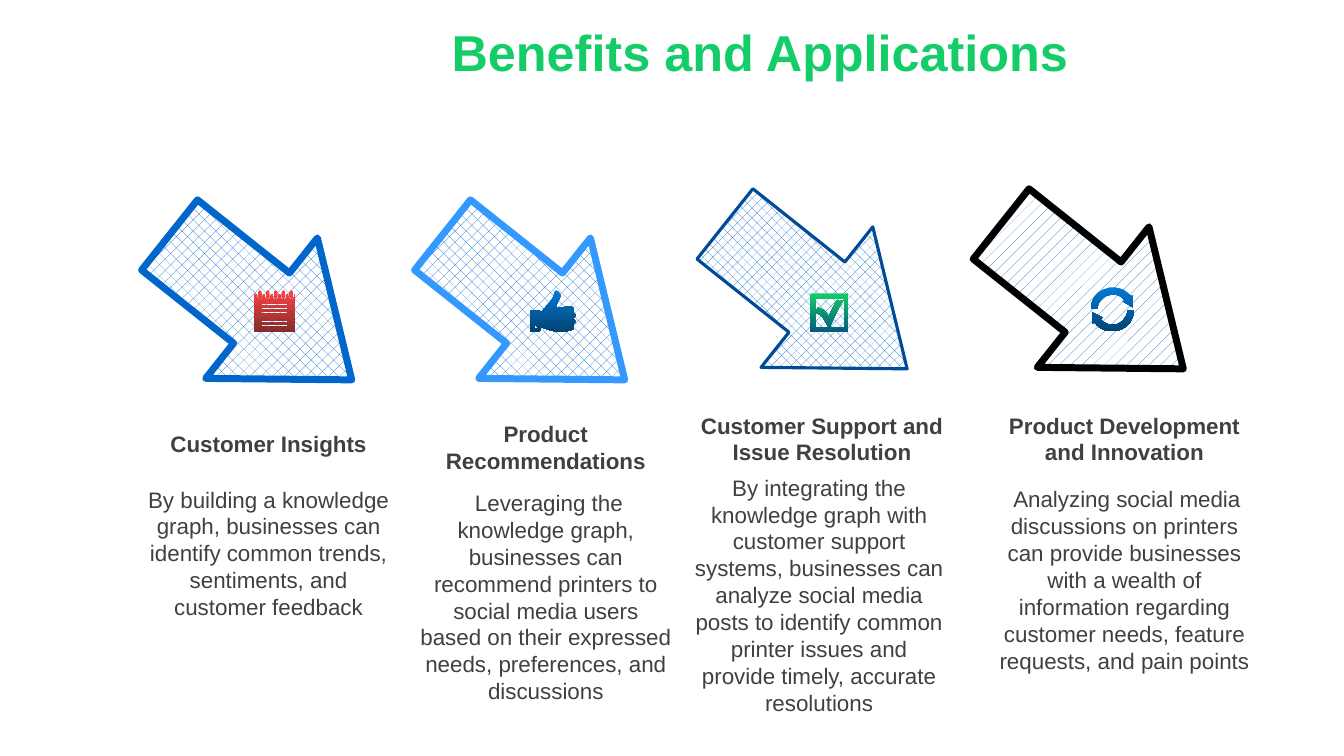
from pptx import Presentation
from pptx import util as u
from pptx.dml import color
from pptx.enum import dml, shapes, text

INK = "404040"
ARROW_SIZE = (166.3, 128.2)
COLUMN_WIDTH = 193.7
PATTERN = dml.MSO_PATTERN

ARROWS = [
    (103, 155.5, PATTERN.PERCENT_25, "0066CC", 5),
    (298, 155.5, PATTERN.PERCENT_25, "3399FF", 5),
    (499.7, 147.6, PATTERN.PERCENT_30, "004B97", 2.25),
    (697, 147.6, PATTERN.PERCENT_10, "000000", 5),
]

BENEFITS = [
    ("Customer Insights", (95, 303.8, 26.6),
     "By building a knowledge graph, businesses can identify common trends, "
     "sentiments, and customer feedback", (95, 342.7, 104.4)),
    ("Product Recommendations", (293, 296.6, 46),
     " Leveraging the knowledge graph, businesses can recommend printers to social "
     "media users based on their expressed needs, preferences, and discussions",
     (293, 335.5, 181.4)),
    ("Customer Support and Issue Resolution", (490.3, 290.2, 46),
     "By integrating the knowledge graph with customer support systems, businesses "
     "can analyze social media posts to identify common printer issues and provide "
     "timely, accurate resolutions", (488.2, 334.1, 181.4)),
    ("Product Development and Innovation", (706.3, 290.2, 46),
     " Analyzing social media discussions on printers can provide businesses with a "
     "wealth of information regarding customer needs, feature requests, and pain points",
     (706.3, 342.7, 142.6)),
]

THUMB = [
    [(5, 35), (4, 35, 4, 36, 4, 37), (4, 38, 4, 38, 5, 38),
     (6, 38, 7, 38, 7, 37), (7, 36, 6, 35, 5, 35)],
    [(26, 0), (27, 0, 29, 2, 30, 4), (31, 9, 22, 17, 28, 17), (33, 17, 35, 16, 39, 16),
     (44, 16, 44, 19, 42, 22), (45, 22, 47, 26, 42, 28), (47, 30, 44, 34, 42, 34),
     (44, 36, 44, 38, 42, 39), (37, 41, 25, 42, 18, 39), (15, 38, 13, 37, 10, 37),
     (10, 39), (10, 40, 9, 41, 9, 41), (0, 41), (0, 20), (9, 20),
     (9, 20, 10, 20, 10, 21), (10, 22), (10, 22, 11, 22, 11, 22),
     (12, 20, 13, 19, 15, 17), (18, 12, 23, 10, 24, 2), (24, 1, 25, 0, 26, 0)],
]

CHECK = [
    [(5, 5), (5, 34), (18, 34), (15, 29, 12, 20, 5, 20), (7, 14),
     (14, 16, 15, 18, 18, 23), (21, 16, 23, 13, 26, 7), (33, 7),
     (28, 14, 23, 25, 19, 34), (34, 34), (34, 5)],
    [(0, 0), (38, 0), (38, 38), (0, 38)],
]

REFRESH = [
    [(37, 23), (43, 23), (43, 33, 36, 41, 27, 43), (18, 45, 9, 42, 4, 35), (2, 36),
     (2, 25), (12, 30), (10, 32), (14, 36, 20, 38, 25, 37), (32, 35, 36, 29, 37, 23)],
    [(22, 0), (29, 0, 35, 3, 40, 9), (42, 8), (42, 20), (32, 14), (34, 13),
     (30, 8, 24, 6, 18, 8), (12, 9, 7, 15, 7, 21), (0, 21),
     (1, 11, 7, 3, 17, 1), (18, 0, 20, 0, 22, 0)],
]


def rgb(value):
    """Turn a hex string into a colour."""
    return color.RGBColor.from_string(value)


def notepad():
    """Return the contours of a spiral notepad with ruled lines."""
    centres = [6 + 7.75 * ring for ring in range(5)]
    body = [(0, 4)]
    for c in centres:
        body += [(c - 3, 4), (c - 3, 6), (c - 3, 10, c + 3, 10, c + 3, 6), (c + 3, 4)]
    body += [(41, 4), (41, 41), (0, 41)]
    rings = [[(c - 1.5, 6), (c - 1.5, 2), (c - 1.5, -0.5, c + 1.5, -0.5, c + 1.5, 2),
              (c + 1.5, 6), (c + 1.5, 8.5, c - 1.5, 8.5, c - 1.5, 6)] for c in centres]
    tops = [13 + 4.2 * row for row in range(6)]
    rules = [[(8, top), (33, top), (33, top + 1.8), (8, top + 1.8)] for top in tops]
    return [body] + rings + rules


def flatten(contour, steps=8):
    """Turn points and cubic curves into tenfold finer points."""
    points = []
    for item in contour:
        if len(item) == 2:
            points.append(item)
            continue
        start, first, second, end = points[-1], item[:2], item[2:4], item[4:]
        for step in range(1, steps + 1):
            t = step / steps
            weights = ((1 - t) ** 3, 3 * t * (1 - t) ** 2, 3 * t * t * (1 - t), t ** 3)
            corners = (start, first, second, end)
            points.append(tuple(sum(w * corner[axis] for w, corner in zip(weights, corners))
                                for axis in (0, 1)))
    return [(10 * x, 10 * y) for x, y in points]


def add_icon(page, contours, left, top, upper, lower):
    """Draw an icon with a vertical gradient."""
    outlines = [flatten(contour) for contour in contours]
    builder = page.shapes.build_freeform(*outlines[0][0], scale=u.Pt(0.072))
    builder.add_line_segments(outlines[0][1:])
    for outline in outlines[1:]:
        builder.move_to(*outline[0])
        builder.add_line_segments(outline[1:])
    icon = builder.convert_to_shape(u.Pt(left), u.Pt(top))
    icon.shadow.inherit = False
    icon.line.fill.background()
    icon.fill.gradient()
    icon.fill.gradient_angle = 270
    for stop, value in zip(icon.fill.gradient_stops, (upper, lower)):
        stop.color.rgb = rgb(value)


def add_arrow(page, left, top, pattern, outline, weight):
    """Draw a tilted block arrow with a hatched fill."""
    width, height = ARROW_SIZE
    arrow = page.shapes.add_shape(shapes.MSO_SHAPE.RIGHT_ARROW, u.Pt(left), u.Pt(top),
                                  u.Pt(width), u.Pt(height))
    arrow.shadow.inherit = False
    arrow.rotation = 38.5
    arrow.adjustments[0], arrow.adjustments[1] = 0.5, 0.642
    arrow.fill.patterned()
    arrow.fill.pattern = pattern
    arrow.fill.fore_color.rgb = rgb("0066CC")
    arrow.fill.back_color.rgb = rgb("FFFFFF")
    arrow.line.color.rgb = rgb(outline)
    arrow.line.width = u.Pt(weight)


def add_text(page, words, left, top, height, width=COLUMN_WIDTH, size=16, ink=INK,
             bold=False, anchor=text.MSO_ANCHOR.MIDDLE, inset=3.6):
    """Place a centred, wrapped text box."""
    box = page.shapes.add_textbox(u.Pt(left), u.Pt(top), u.Pt(width), u.Pt(height))
    frame = box.text_frame
    frame.word_wrap = True
    frame.vertical_anchor = anchor
    frame.margin_top = u.Pt(inset)
    para = frame.paragraphs[0]
    para.alignment = text.PP_ALIGN.CENTER
    span = para.add_run()
    span.text = words
    span.font.name = "Arial"
    span.font.size = u.Pt(size)
    span.font.bold = bold
    span.font.color.rgb = rgb(ink)


def main():
    """Build and save the slide."""
    deck = Presentation()
    deck.slide_width, deck.slide_height = u.Pt(960), u.Pt(540)
    page = deck.slides.add_slide(deck.slide_layouts[6])
    for arrow in ARROWS:
        add_arrow(page, *arrow)
    for heading, heading_place, body, body_place in BENEFITS:
        add_text(page, body, *body_place)
        add_text(page, heading, *heading_place, bold=True)
    add_text(page, "Benefits and Applications", 131.8, 7.2, 52.6, width=822.2, size=36,
             ink="14CD68", bold=True, anchor=text.MSO_ANCHOR.TOP, inset=8)
    add_icon(page, notepad(), 181.4, 207.4, "FE4444", "832B2B")
    add_icon(page, THUMB, 378.7, 207.4, "007BD3", "034373")
    add_icon(page, CHECK, 578.9, 209.5, "14CD68", "035C7D")
    add_icon(page, REFRESH, 779, 205.2, "007BD3", "034373")
    deck.save("out.pptx")


if __name__ == "__main__":
    main()
